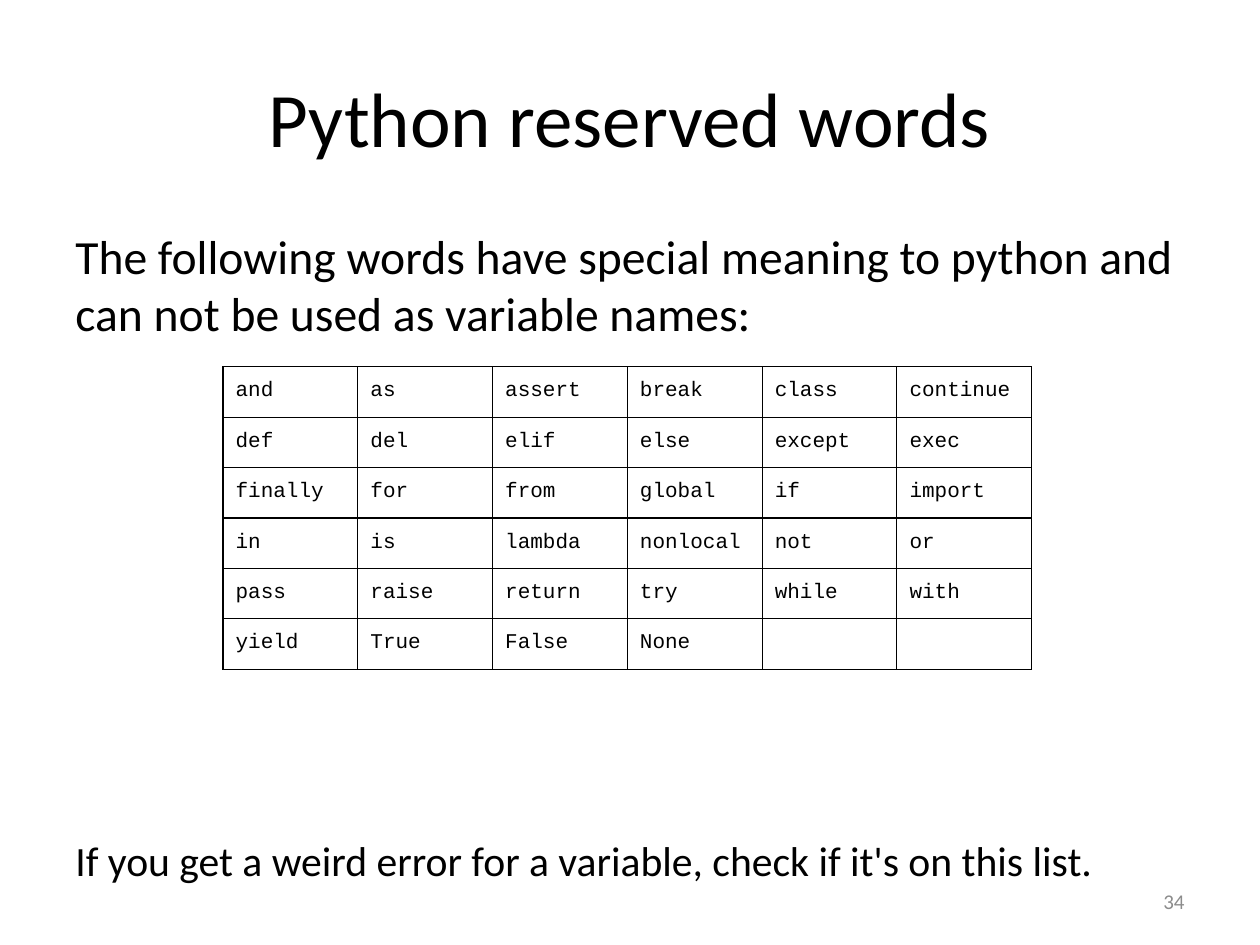
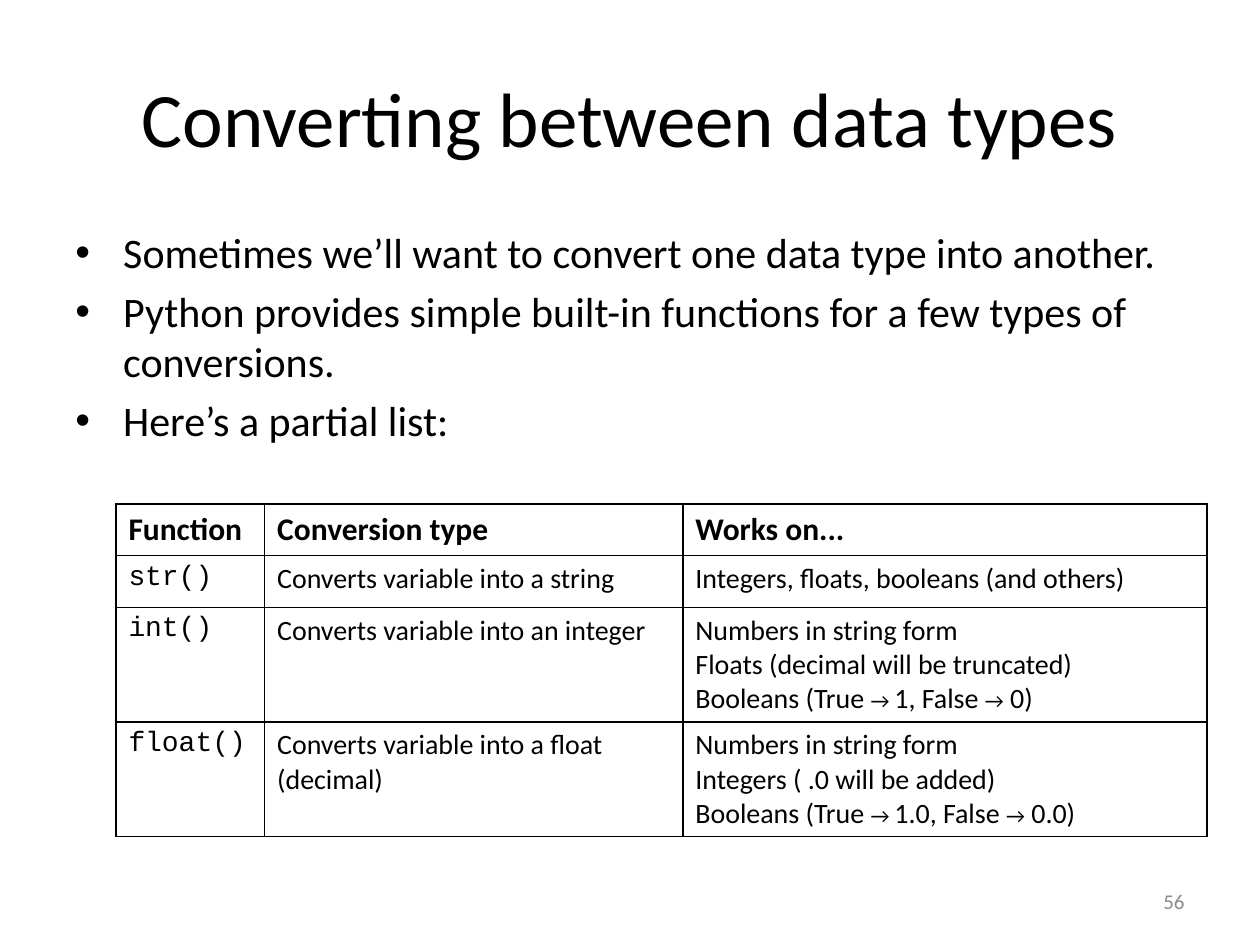
from dataclasses import dataclass

from lxml.etree import SubElement
from pptx import Presentation
from pptx.dml.color import RGBColor
from pptx.enum.text import MSO_ANCHOR, PP_ALIGN
from pptx.oxml import parse_xml
from pptx.oxml.ns import nsdecls, qn
from pptx.util import Inches, Pt


@dataclass(frozen=True)
class Theme:
    """Fonts, colours and type sizes shared by the slides."""

    prose: str = "Calibri"
    code: str = "Courier New"
    ink: str = "000000"
    muted: str = "8C8C8C"
    title: float = 44
    intro: float = 27.2
    bullet: float = 24
    advice: float = 23.8
    header: float = 18
    cell: float = 16
    small: float = 12


THEME = Theme()

RESERVED_WORDS = [
    ["and", "as", "assert", "break", "class", "continue"],
    ["def", "del", "elif", "else", "except", "exec"],
    ["finally", "for", "from", "global", "if", "import"],
    ["in", "is", "lambda", "nonlocal", "not", "or"],
    ["pass", "raise", "return", "try", "while", "with"],
    ["yield", "True", "False", "None", "", ""],
]


def boolean_rule(one, zero):
    """Return the runs that show what True and False convert to."""
    return ["Booleans (True ", ("→ ", THEME.small), f"{one}, False ",
            ("→", THEME.small), f" {zero})"]


CONVERSIONS = [
    ["Function", "Conversion type", "Works on..."],
    ["str()", "Converts variable into a string",
     "Integers, floats, booleans (and others)"],
    ["int()", "Converts variable into an integer",
     ["Numbers in string form", "Floats (decimal will be truncated)",
      boolean_rule("1", "0")]],
    ["float()", "Converts variable into a float (decimal)",
     ["Numbers in string form", "Integers ( .0 will be added)",
      boolean_rule("1.0", "0.0")]],
]


def write_text(frame, content, size, font=THEME.prose, color=THEME.ink,
               bold=False, align=PP_ALIGN.LEFT, space_before=0, bullet=None):
    """Add paragraphs, each a string or a list of runs, to a text frame."""
    for text in [content] if isinstance(content, str) else content:
        paragraph = frame.paragraphs[-1]
        if paragraph.runs:
            paragraph = frame.add_paragraph()
        paragraph.alignment = align
        paragraph.space_before = Pt(space_before)
        if bullet:
            add_bullet(paragraph, bullet)
        for part in [text] if isinstance(text, str) else text:
            words, run_size = (part, size) if isinstance(part, str) else part
            run = paragraph.add_run()
            run.text = words
            run.font.size = Pt(run_size)
            run.font.name = font
            run.font.bold = bold
            run.font.color.rgb = RGBColor.from_string(color)


def add_bullet(paragraph, symbol):
    """Give a paragraph a bullet and a hanging indent."""
    properties = paragraph._p.get_or_add_pPr()
    indent = Inches(0.38)
    properties.set("marL", str(indent))
    properties.set("indent", str(-indent))
    SubElement(properties, qn("a:buFont"), typeface="Arial")
    SubElement(properties, qn("a:buChar"), char=symbol)


def add_text_area(slide, left, top, width, height, anchor=MSO_ANCHOR.TOP):
    """Add a wrapping text box and return its text frame."""
    area = slide.shapes.add_textbox(
        Inches(left), Inches(top), Inches(width), Inches(height))
    area.text_frame.word_wrap = True
    area.text_frame.vertical_anchor = anchor
    return area.text_frame


def add_body(slide):
    """Add the main text area below the title."""
    return add_text_area(slide, 0.5, 1.75, 9, 4.95)


def add_titled_slide(deck, heading, number):
    """Add a slide with the shared title style and slide number."""
    slide = deck.slides.add_slide(deck.slide_layouts[5])
    title = slide.shapes.title
    title.left, title.top = Inches(0.5), Inches(0.3)
    title.width, title.height = Inches(9), Inches(1.25)
    title.text_frame.vertical_anchor = MSO_ANCHOR.MIDDLE
    write_text(title.text_frame, heading, THEME.title, align=PP_ALIGN.CENTER)
    footer = add_text_area(slide, 7.17, 6.95, 2.33, 0.4, MSO_ANCHOR.MIDDLE)
    write_text(footer, str(number), THEME.small, color=THEME.muted,
               align=PP_ALIGN.RIGHT)
    return slide


def outline_cell(cell, weight):
    """Draw the four borders of a table cell."""
    properties = cell._tc.get_or_add_tcPr()
    for position, side in enumerate(("lnL", "lnR", "lnT", "lnB")):
        properties.insert(position, parse_xml(
            f'<a:{side} {nsdecls("a")} w="{Pt(weight)}"><a:solidFill>'
            f'<a:srgbClr val="{THEME.ink}"/></a:solidFill></a:{side}>'))


def add_grid(slide, rows, left, top, widths, heights, border, cell_format,
             padding=0.05):
    """Add an unfilled, outlined table with a format for each cell."""
    table = slide.shapes.add_table(
        len(rows), len(widths), Inches(left), Inches(top),
        Inches(sum(widths)), Inches(sum(heights))).table
    table.first_row = table.horz_banding = False
    for column, width in zip(table.columns, widths):
        column.width = Inches(width)
    for r, (entries, height) in enumerate(zip(rows, heights)):
        table.rows[r].height = Inches(height)
        for c, entry in enumerate(entries):
            cell = table.cell(r, c)
            cell.fill.background()
            outline_cell(cell, border)
            if entry:
                cell.margin_top = cell.margin_bottom = Inches(padding)
                write_text(cell.text_frame, entry, **cell_format(r, c))


def reserved_word_format(row, column):
    """Return the format of every reserved word."""
    return {"size": THEME.small, "font": THEME.code}


def conversion_format(row, column):
    """Return the format of a header, function name or description."""
    if row == 0:
        return {"size": THEME.header, "bold": True}
    return {"size": THEME.cell,
            "font": THEME.code if column == 0 else THEME.prose}


def add_reserved_words_slide(deck):
    """Build the slide that lists the reserved words."""
    slide = add_titled_slide(deck, "Python reserved words", 34)
    body = add_body(slide)
    write_text(body, "The following words have special meaning to python and "
               "can not be used as variable names:", THEME.intro)
    write_text(body, "If you get a weird error for a variable, check if it's "
               "on this list.", THEME.advice, space_before=282)
    add_grid(slide, RESERVED_WORDS, 1.77, 2.91, [1.07] * 6, [0.4] * 6, 0.75,
             reserved_word_format, padding=0.1)


def add_conversions_slide(deck):
    """Build the slide on conversion functions."""
    slide = add_titled_slide(deck, "Converting between data types", 56)
    write_text(add_body(slide), [
        "Sometimes we’ll want to convert one data type into another.",
        "Python provides simple built-in functions for a few types of "
        "conversions.",
        "Here’s a partial list:",
    ], THEME.bullet, space_before=THEME.bullet * 0.2, bullet="•")
    add_grid(slide, CONVERSIONS, 0.92, 4, [1.18, 3.32, 4.16],
             [0.41, 0.41, 0.91, 0.91], 1, conversion_format)


def main():
    """Build and save the presentation."""
    deck = Presentation()
    deck.slide_width, deck.slide_height = Inches(10), Inches(7.5)
    add_reserved_words_slide(deck)
    add_conversions_slide(deck)
    deck.save("out.pptx")


if __name__ == "__main__":
    main()
